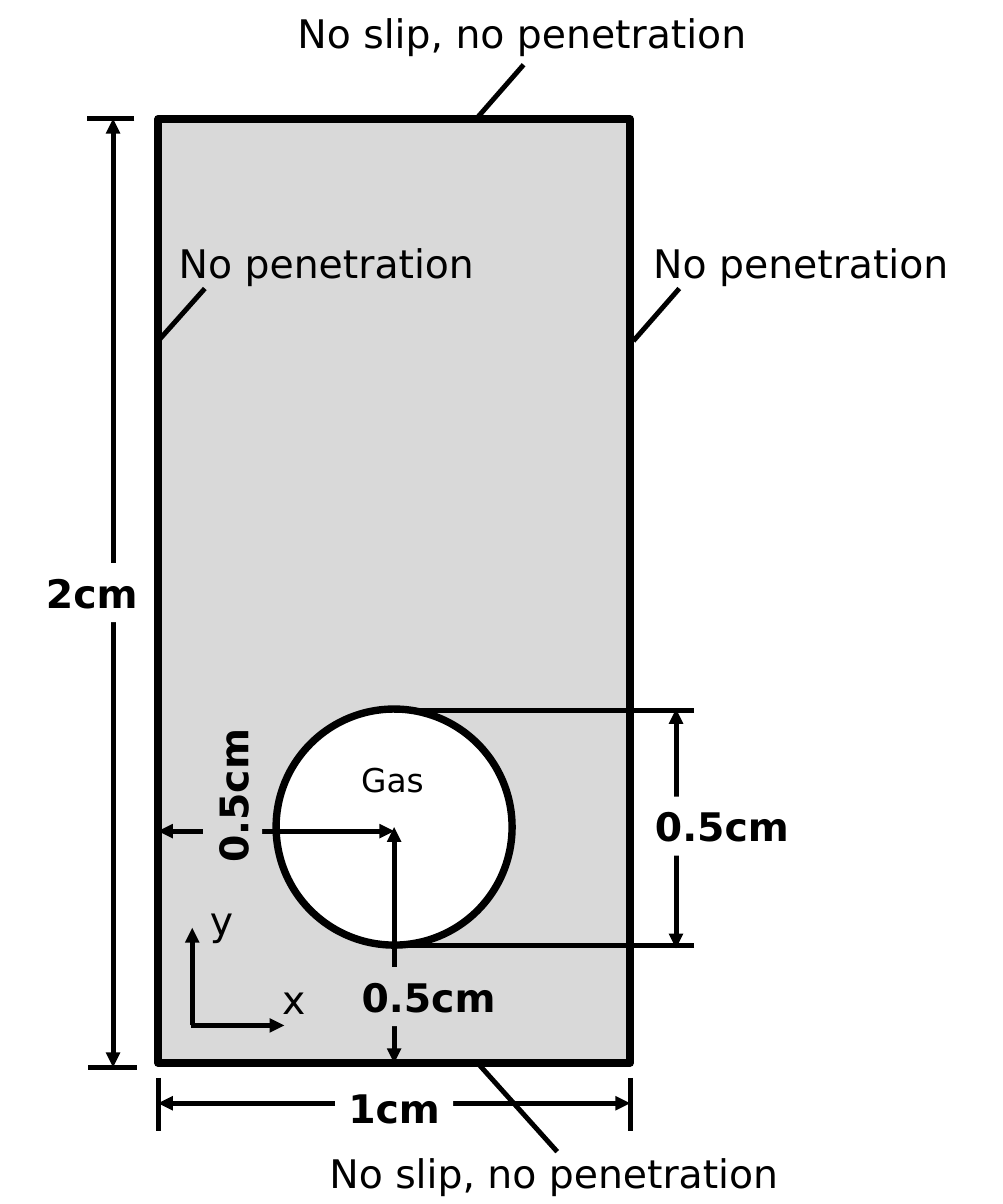
from pptx import Presentation
from pptx.dml.color import RGBColor
from pptx.enum.shapes import MSO_CONNECTOR, MSO_SHAPE
from pptx.enum.text import MSO_ANCHOR, MSO_AUTO_SIZE, PP_ALIGN
from pptx.oxml.ns import qn
from pptx.util import Pt
from lxml.etree import SubElement

COLORS = {"ink": "000000", "liquid": "D9D9D9", "paper": "FFFFFF"}
FONT = "DejaVu Sans"
OUTLINE, STROKE = 4.5, 3

# The domain is 1 cm by 2 cm; the bubble is 0.5 cm wide, 0.5 cm above the floor.
CM = 288
LEFT, TOP = 96.5, 72.5
RIGHT, BOTTOM = LEFT + CM, TOP + 2 * CM
RADIUS = CM / 4
CENTER_X, CENTER_Y = LEFT + CM / 2, BOTTOM - CM / 2
HEIGHT_X, WIDTH_Y, DIAMETER_X = 69, 673, 412.5
HEIGHT_END, OFFSET_Y = BOTTOM + 2.5, CENTER_Y + 2.5
DIAMETER_TOP, DIAMETER_BOTTOM = CENTER_Y - RADIUS, CENTER_Y + RADIUS
AXIS_X, AXIS_Y = 117.3, 625.5
LABEL_HEIGHT = 36

# start, end, label, label center, label width, fill, rotation
DIMENSIONS = [
    ((CENTER_X, CENTER_Y), (CENTER_X, BOTTOM), "0.5cm", (261.5, 608), 98, "liquid", 0),
    ((CENTER_X, OFFSET_Y), (LEFT, OFFSET_Y), "0.5cm", (142, 485.5), 98, "liquid", 270),
    ((HEIGHT_X, TOP), (HEIGHT_X, HEIGHT_END), "2cm", (56, 361.5), 72, "paper", 0),
    ((RIGHT, WIDTH_Y), (LEFT, WIDTH_Y), "1cm", (CENTER_X, 676), 72, "paper", 0),
    ((DIAMETER_X, DIAMETER_TOP), (DIAMETER_X, DIAMETER_BOTTOM + 2), "0.5cm",
     (440.5, 504), 98, "paper", 0),
]
EXTENSIONS = [
    ((82, TOP), (53, TOP)),
    ((83.5, HEIGHT_END), (54, HEIGHT_END)),
    ((LEFT, 657.5), (LEFT, 690)),
    ((RIGHT, 657.5), (RIGHT, 690)),
    ((423.5, DIAMETER_BOTTOM), (CENTER_X, DIAMETER_BOTTOM)),
    ((423.5, DIAMETER_TOP + 1), (CENTER_X, DIAMETER_TOP + 1)),
]
AXES = [((AXIS_X, AXIS_Y), (AXIS_X, 566)), ((AXIS_X - 0.7, AXIS_Y), (173.5, AXIS_Y))]
LEADERS = [
    ((340, 702.5), (291.5, BOTTOM)),
    ((319.5, 39.5), (291.5, 71.5)),
    ((414.5, 176), (386.5, 208)),
    ((125, 176), (LEFT, 208)),
]
# text, left, top, width, size, alignment
NOTES = [
    ("x", 165, 591, 29, 24, PP_ALIGN.LEFT),
    ("y", 121, 543, 29, 24, PP_ALIGN.LEFT),
    ("Gas", 213, 460, 53, 20, PP_ALIGN.CENTER),
    ("No slip, no penetration", 168.5, 2, 300, 24, PP_ALIGN.CENTER),
    ("No penetration", 391.5, 142.5, 196, 24, PP_ALIGN.LEFT),
    ("No penetration", 102, 142.5, 196, 24, PP_ALIGN.LEFT),
    ("No slip, no penetration", 191.5, 697.5, 293, 24, PP_ALIGN.CENTER),
]


def color(name):
    return RGBColor.from_string(COLORS[name])


def add_filled(page, kind, left, top, width, height, fill, outline=None):
    shape = page.shapes.add_shape(kind, Pt(left), Pt(top), Pt(width), Pt(height))
    shape.shadow.inherit = False
    shape.fill.solid()
    shape.fill.fore_color.rgb = color(fill)
    if outline:
        shape.line.color.rgb = color("ink")
        shape.line.width = Pt(outline)
    else:
        shape.line.fill.background()
    return shape


def write(shape, text, size, alignment, anchor, bold=False):
    frame = shape.text_frame
    frame_format = {"word_wrap": False, "auto_size": MSO_AUTO_SIZE.SHAPE_TO_FIT_TEXT,
                    "vertical_anchor": anchor}
    for name, value in frame_format.items():
        setattr(frame, name, value)
    para = frame.paragraphs[0]
    para.alignment = alignment
    span = para.add_run()
    span.text = text
    for name, value in {"name": FONT, "size": Pt(size), "bold": bold}.items():
        setattr(span.font, name, value)
    span.font.color.rgb = color("ink")


def add_line(page, start, end, arrows=()):
    """Draw a line; arrows names its pointed ends, headEnd before tailEnd."""
    points = [Pt(value) for value in (*start, *end)]
    line = page.shapes.add_connector(MSO_CONNECTOR.STRAIGHT, *points)
    line.line.color.rgb = color("ink")
    line.line.width = Pt(STROKE)
    for arrow in arrows:
        SubElement(line.line._get_or_add_ln(), qn(f"a:{arrow}"), type="triangle")
    SubElement(line._element.spPr, qn("a:effectLst"))
    return line


def add_dimension(page, domain, start, end, text, center, width, fill, rotation):
    line = add_line(page, start, end, ("headEnd", "tailEnd"))
    if end == (CENTER_X, BOTTOM):
        line.end_connect(domain, 2)
    label = add_filled(page, MSO_SHAPE.RECTANGLE, center[0] - width / 2,
                       center[1] - LABEL_HEIGHT / 2, width, LABEL_HEIGHT, fill)
    label.rotation = rotation
    write(label, text, 24, PP_ALIGN.CENTER, MSO_ANCHOR.MIDDLE, bold=True)


def main():
    deck = Presentation()
    deck.slide_width, deck.slide_height = Pt(612), Pt(734.4)
    page = deck.slides.add_slide(deck.slide_layouts[6])

    domain = add_filled(page, MSO_SHAPE.RECTANGLE, LEFT, TOP, CM, 2 * CM, "liquid", OUTLINE)
    add_filled(page, MSO_SHAPE.OVAL, CENTER_X - RADIUS, CENTER_Y - RADIUS,
               2 * RADIUS, 2 * RADIUS, "paper", OUTLINE)
    for dimension in DIMENSIONS:
        add_dimension(page, domain, *dimension)
    for start, end in EXTENSIONS + LEADERS:
        add_line(page, start, end)
    for start, end in AXES:
        add_line(page, start, end, ("tailEnd",))
    for text, left, top, width, size, alignment in NOTES:
        box = page.shapes.add_textbox(Pt(left), Pt(top), Pt(width), Pt(1.5 * size))
        write(box, text, size, alignment, MSO_ANCHOR.TOP)

    deck.save("out.pptx")


if __name__ == "__main__":
    main()
